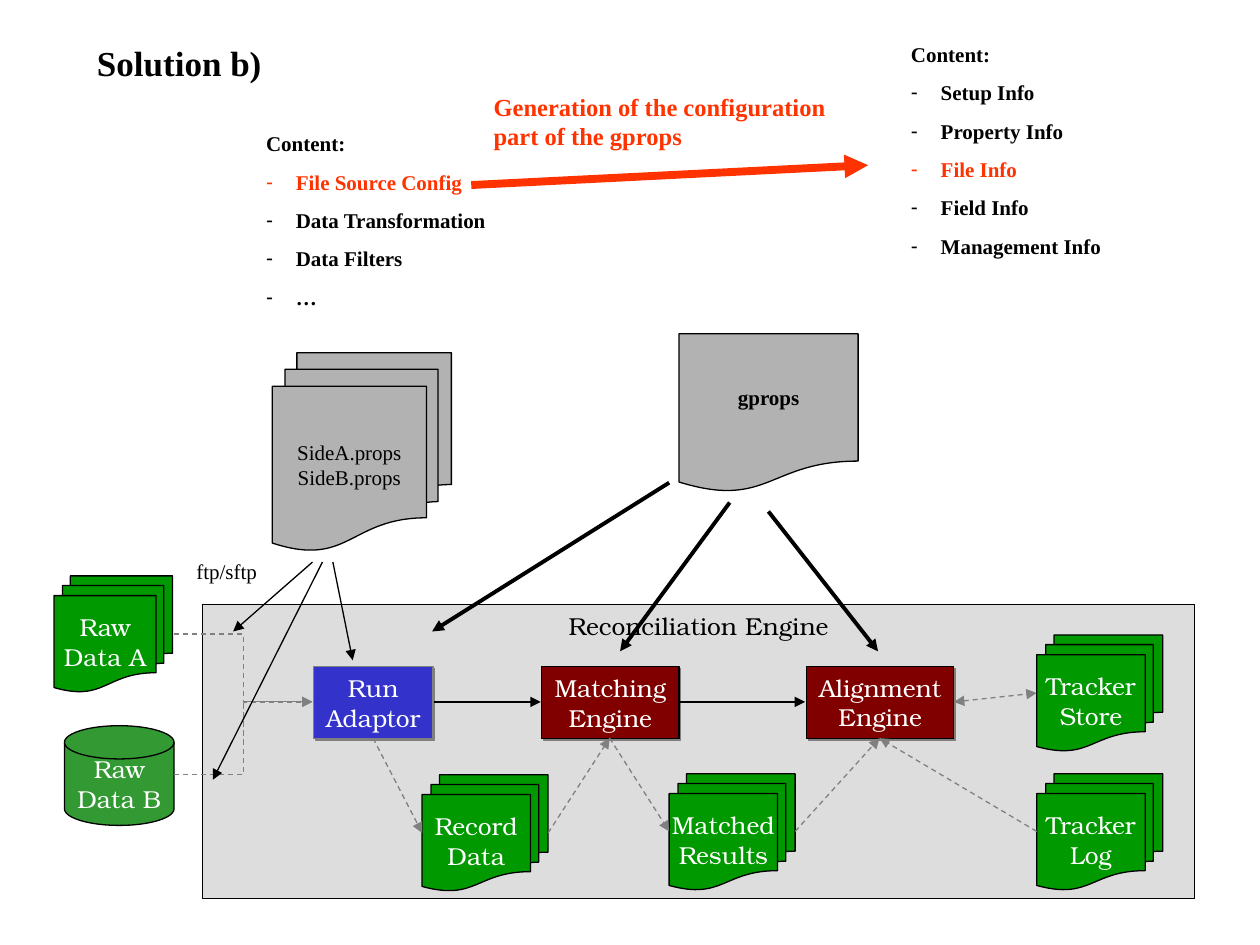
from lxml import etree
from pptx import Presentation
from pptx.dml.color import RGBColor
from pptx.enum.dml import MSO_LINE
from pptx.enum.shapes import MSO_CONNECTOR, MSO_SHAPE
from pptx.enum.text import MSO_ANCHOR, MSO_AUTO_SIZE, PP_ALIGN
from pptx.oxml.ns import qn
from pptx.util import Cm, Pt

RECTANGLE = MSO_SHAPE.RECTANGLE
DOCUMENT = MSO_SHAPE.FLOWCHART_DOCUMENT
DOCUMENTS = MSO_SHAPE.FLOWCHART_MULTIDOCUMENT
DISK = MSO_SHAPE.FLOWCHART_MAGNETIC_DISK
STRAIGHT, ELBOW = MSO_CONNECTOR.STRAIGHT, MSO_CONNECTOR.ELBOW
DASH = MSO_LINE.DASH
TOP, MIDDLE = MSO_ANCHOR.TOP, MSO_ANCHOR.MIDDLE
LEFT, CENTER = PP_ALIGN.LEFT, PP_ALIGN.CENTER
NO_AUTOFIT = MSO_AUTO_SIZE.NONE

SERIF, BOOK = "Times New Roman", "TeX Gyre Bonum"
COLORS = {
    "black": "000000", "white": "FFFFFF", "red": "FF3300", "gray": "808080",
    "panel": "DDDDDD", "props": "B2B2B2", "blue": "3333CC",
    "maroon": "800000", "green": "009900", "disk": "339933",
}
FLOW_Y = 14.15
ENGINE_BOTTOM = 14.88
STORE_SIZE = (2.54, 2.34)


def rgb(color):
    """Return the named colour."""
    return RGBColor.from_string(COLORS[color])


def add_child(parent, tag, **attributes):
    """Append a drawing element with the given attributes."""
    return etree.SubElement(parent, qn(tag), attributes)


def write(paragraph, text, size, color, font=SERIF, bold=False):
    """Add one formatted run to a paragraph."""
    run = paragraph.add_run()
    run.text = text
    run.font.size = Pt(size)
    run.font.name = font
    run.font.bold = bold
    run.font.color.rgb = rgb(color)


def place(placeholder, left, top, width, height):
    """Move a placeholder and return its prepared text frame."""
    placeholder.left, placeholder.top = Cm(left), Cm(top)
    placeholder.width, placeholder.height = Cm(width), Cm(height)
    frame = placeholder.text_frame
    frame.word_wrap = True
    frame.auto_size = NO_AUTOFIT
    frame.vertical_anchor = TOP
    return frame


def add_title(slide, text):
    """Fill the title placeholder."""
    heading = place(slide.shapes.title, 1.7, 0.71, 13.41, 1.12).paragraphs[0]
    heading.alignment = LEFT
    write(heading, text, 20, "black", bold=True)


def add_content_list(placeholder, area, items, highlight):
    """Fill a body placeholder with a heading and dashed items."""
    frame = place(placeholder, *area)
    for index, item in enumerate(["Content:"] + items):
        entry = frame.paragraphs[0] if index == 0 else frame.add_paragraph()
        entry.space_before = Pt(7.5)
        color = "red" if item == highlight else "black"
        write(entry, item, 12, color, bold=True)
        properties = entry._p.get_or_add_pPr()
        indent = Cm(0.6) if index else 0
        properties.set("marL", str(indent))
        properties.set("indent", str(-indent))
        if index:
            bullet_color = add_child(properties, "a:buClr")
            add_child(bullet_color, "a:srgbClr", val=COLORS[color])
            add_child(properties, "a:buChar", char="-")
        else:
            add_child(properties, "a:buNone")


def add_note(slide, area, text, size, color, bold=False):
    """Add a wrapped text box."""
    frame = slide.shapes.add_textbox(*map(Cm, area)).text_frame
    frame.word_wrap = True
    write(frame.paragraphs[0], text, size, color, bold=bold)


def add_node(slide, kind, area, lines, fill, outline="black", ink="white",
             size=14, font=BOOK, bold=False, anchor=MIDDLE):
    """Add a filled shape with centred label lines."""
    node = slide.shapes.add_shape(kind, *map(Cm, area))
    node.shadow.inherit = False
    node.fill.solid()
    node.fill.fore_color.rgb = rgb(fill)
    node.line.color.rgb = rgb(outline)
    node.line.width = Pt(0.75)
    frame = node.text_frame
    frame.word_wrap = False
    frame.vertical_anchor = anchor
    for index, line in enumerate(lines):
        label = frame.paragraphs[0] if index == 0 else frame.add_paragraph()
        label.alignment = CENTER
        write(label, line, size, ink, font, bold)
    return node


def add_step(slide, left, width, lines, fill, outline="black", anchor=MIDDLE):
    """Add a processing box with a hard drop shadow."""
    step = add_node(slide, RECTANGLE, (left, 13.44, width, 1.45), lines, fill,
                    outline, anchor=anchor)
    effects = step._element.spPr.find(qn("a:effectLst"))
    shadow = add_child(effects, "a:outerShdw", dist=str(Pt(1.4)), dir="2700000")
    add_child(shadow, "a:srgbClr", val=COLORS["gray"])


def add_arrow(slide, ends, color="black", width=0.75, kind=STRAIGHT,
              dashed=False, both=False):
    """Add an arrow from the first point to the second."""
    arrow = slide.shapes.add_connector(kind, *map(Cm, ends))
    arrow.line.color.rgb = rgb(color)
    arrow.line.width = Pt(width)
    if dashed:
        arrow.line.dash_style = DASH
    outline = arrow.line._get_or_add_ln()
    if both:
        add_child(outline, "a:headEnd", type="triangle")
    add_child(outline, "a:tailEnd", type="triangle")
    add_child(arrow._element.spPr, "a:effectLst")


def add_engine(slide):
    """Add the engine panel with its steps and data stores."""
    add_node(slide, RECTANGLE, (4.09, 12.19, 19.99, 5.92),
             ["Reconciliation Engine"], "panel", ink="black", anchor=TOP)
    add_step(slide, 6.32, 2.41, ["Run", "Adaptor"], "blue", "gray")
    add_step(slide, 10.92, 2.77, ["Matching", "Engine"], "maroon")
    add_step(slide, 16.26, 2.97, ["Alignment", "Engine"], "maroon", anchor=TOP)
    for left, top, lines in [
        (20.9, 12.8, ["Tracker", "Store"]),
        (20.9, 15.6, ["Tracker", "Log"]),
        (13.49, 15.6, ["Matched", "Results"]),
        (8.51, 15.62, ["Record", "Data"]),
    ]:
        add_node(slide, DOCUMENTS, (left, top, *STORE_SIZE), lines, "green")


def add_sources(slide):
    """Add the raw data and the property files."""
    add_node(slide, DISK, (1.3, 14.63, 2.21, 2.01), ["Raw", "Data B"], "disk")
    add_node(slide, DOCUMENTS, (1.09, 11.61, 2.39, 2.34), ["Raw", "Data A"],
             "green")
    props_style = {"fill": "props", "ink": "black", "size": 12, "font": SERIF}
    add_node(slide, DOCUMENTS, (5.49, 7.11, 3.61, 3.99),
             ["SideA.props", "SideB.props"], **props_style)
    add_node(slide, DOCUMENT, (13.69, 6.73, 3.61, 3.2), ["gprops"], bold=True,
             **props_style)


def add_flows(slide):
    """Add the process, data and configuration arrows."""
    for start, end in [(8.74, 10.9), (13.69, 16.23)]:
        add_arrow(slide, (start, FLOW_Y, end, FLOW_Y))
    for raw_y in (12.78, 15.62):
        add_arrow(slide, (3.51, raw_y, 6.3, FLOW_Y), "gray", kind=ELBOW,
                  dashed=True)
    for data_flow in [
        (7.52, ENGINE_BOTTOM, 8.51, 16.79),
        (11.05, 16.79, 12.29, ENGINE_BOTTOM),
        (12.29, ENGINE_BOTTOM, 13.49, 16.76),
        (16.03, 16.76, 17.73, ENGINE_BOTTOM),
        (20.9, 16.76, 17.73, ENGINE_BOTTOM),
    ]:
        add_arrow(slide, data_flow, "gray", dashed=True)
    add_arrow(slide, (19.23, FLOW_Y, 20.9, 13.97), "gray", dashed=True, both=True)
    for gprops_use in [(13.49, 9.73, 8.71, 12.73), (14.71, 10.13, 12.5, 13.13),
                       (15.49, 10.31, 17.7, 13.13)]:
        add_arrow(slide, gprops_use, width=2.25)
    for side_use in [(6.3, 11.33, 4.7, 12.73), (6.5, 11.33, 4.29, 15.72),
                     (6.71, 11.33, 7.11, 13.31)]:
        add_arrow(slide, side_use)
    add_arrow(slide, (9.5, 3.73, 17.5, 3.33), "red", 4.5)


def main():
    """Build and save the solution slide."""
    deck = Presentation()
    deck.slide_width, deck.slide_height = Cm(25.4), Cm(19.05)
    slide = deck.slides.add_slide(deck.slide_layouts[3])
    add_title(slide, "Solution b)")
    add_content_list(slide.placeholders[1], (5.11, 2.51, 5, 4.62),
                     ["File Source Config", "Data Transformation",
                      "Data Filters", "…"], "File Source Config")
    add_content_list(slide.placeholders[2], (18.11, 0.71, 7.29, 4.62),
                     ["Setup Info", "Property Info", "File Info", "Field Info",
                      "Management Info"], "File Info")
    add_engine(slide)
    add_sources(slide)
    add_flows(slide)
    add_note(slide, (3.71, 11.13, 2.01, 0.76), "ftp/sftp", 12, "black")
    add_note(slide, (9.7, 1.73, 7.75, 1.45),
             "Generation of the configuration part of the gprops", 14, "red",
             bold=True)
    deck.save("out.pptx")


if __name__ == "__main__":
    main()
